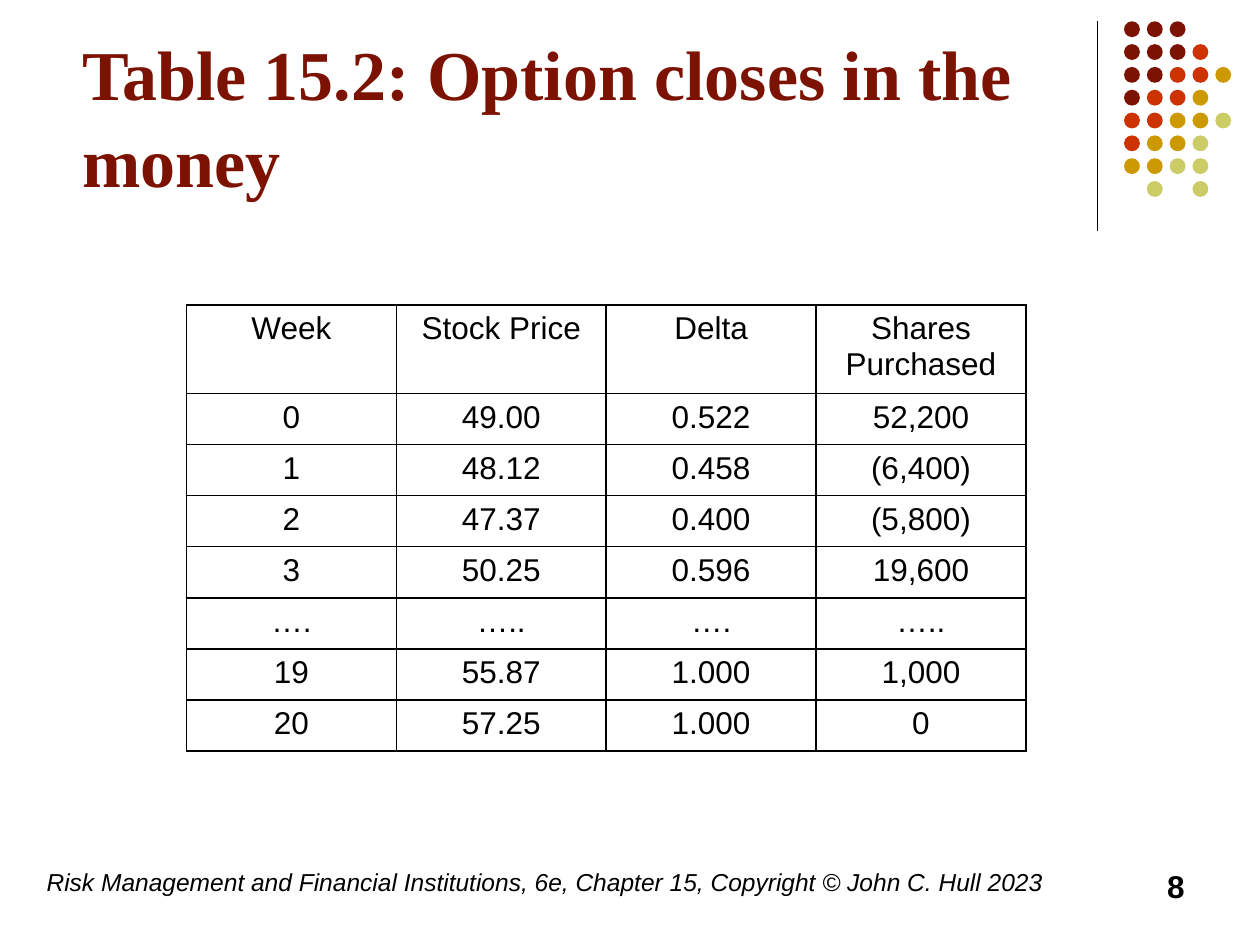
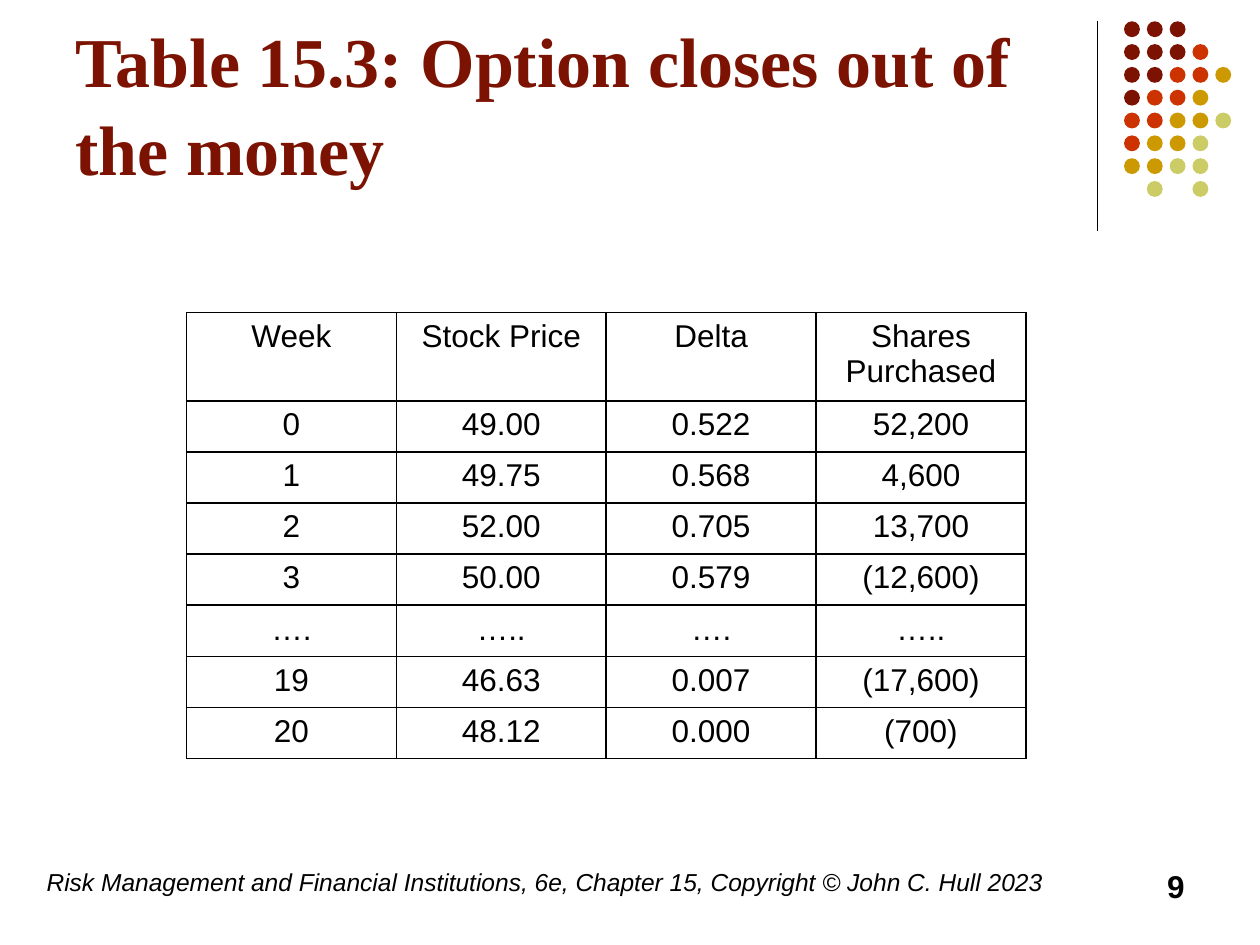
from dataclasses import dataclass

from lxml.etree import SubElement
from pptx import Presentation
from pptx.dml.color import RGBColor as Rgb
from pptx.enum.shapes import MSO_CONNECTOR as Connector, MSO_SHAPE as Shape
from pptx.enum.text import MSO_ANCHOR as Anchor, MSO_AUTO_SIZE as AutoSize, PP_ALIGN as Align
from pptx.oxml.ns import qn
from pptx.util import Cm, Pt


@dataclass(frozen=True)
class Theme:
    ink: Rgb = Rgb.from_string("000000")
    maroon: Rgb = Rgb.from_string("7C1302")
    red: Rgb = Rgb.from_string("CC3300")
    gold: Rgb = Rgb.from_string("CC9900")
    lime: Rgb = Rgb.from_string("CCCC66")
    heading: str = "Times New Roman"
    body: str = "Arial"
    title_size: int = 40
    body_size: int = 18
    footer_size: int = 14
    rule_width: float = 0.75
    border_width: float = 1


THEME = Theme()
TITLE_FONT = {"name": THEME.heading, "size": Pt(THEME.title_size), "bold": True}
CELL_FONT = {"name": THEME.body, "size": Pt(THEME.body_size), "bold": False}
FOOTER_FONT = {"name": THEME.body, "size": Pt(THEME.footer_size), "italic": True}
NUMBER_FONT = {"name": THEME.body, "size": Pt(THEME.body_size), "bold": True}

FOOTER = "Risk Management and Financial Institutions, 6e, Chapter 15, Copyright © John C. Hull 2023"
FOOTER_BOX = (0.69, 17.35, 21, 1.27)
NUMBER_BOX = (18.21, 17.35, 5.92, 1.27)

DOT_COLORS = {"M": THEME.maroon, "R": THEME.red, "G": THEME.gold, "L": THEME.lime}
DOT_ROWS = ["MMM", "MMMR", "MMRRG", "MRRG", "RRGGL", "RGGL", "GGLL", ".L.L"]
DOT_LEFT, DOT_TOP, DOT_PITCH, DOT_SIZE = 22.66, 0.43, 0.46, 0.32

TABLE_LEFT, COLUMN_WIDTH = 3.76, 4.23
HEADER_HEIGHT, ROW_HEIGHT = 1.78, 1.03
HEADER = ("Week", "Stock Price", "Delta", "Shares Purchased")
SKIPPED_WEEKS = ("….", "…..", "….", "…..")

PAGES = [
    {
        "number": 8,
        "title": "Table 15.2: Option closes in the money",
        "title_box": (1.4, 3.76, 20.96, 0.43),
        "table_top": 6.15,
        "rows": [
            ("0", "49.00", "0.522", "52,200"),
            ("1", "48.12", "0.458", "(6,400)"),
            ("2", "47.37", "0.400", "(5,800)"),
            ("3", "50.25", "0.596", "19,600"),
            SKIPPED_WEEKS,
            ("19", "55.87", "1.000", "1,000"),
            ("20", "57.25", "1.000", "0"),
        ],
    },
    {
        "number": 9,
        "title": "Table 15.3: Option closes out of the money",
        "title_box": (1.27, 0.33, 20.96, 3.61),
        "table_top": 6.3,
        "rows": [
            ("0", "49.00", "0.522", "52,200"),
            ("1", "49.75", "0.568", "4,600"),
            ("2", "52.00", "0.705", "13,700"),
            ("3", "50.00", "0.579", "(12,600)"),
            SKIPPED_WEEKS,
            ("19", "46.63", "0.007", "(17,600)"),
            ("20", "48.12", "0.000", "(700)"),
        ],
    },
]


def set_all(target, values):
    for name, value in values.items():
        setattr(target, name, value)


def write(frame, text, font, align, color=THEME.ink):
    para = frame.paragraphs[0]
    para.alignment = align
    span = para.add_run()
    span.text = text
    set_all(span.font, font)
    span.font.color.rgb = color
    return para


def add_title(page, text, bounds):
    title = page.shapes.title
    set_all(title, dict(zip(("left", "top", "width", "height"), map(Cm, bounds))))
    frame = title.text_frame
    set_all(frame, {"word_wrap": True, "auto_size": AutoSize.NONE,
                    "vertical_anchor": Anchor.BOTTOM})
    para = write(frame, text, TITLE_FONT, Align.LEFT, THEME.maroon)
    para.line_spacing = 1.04


def add_text(page, text, bounds, font, align=Align.LEFT):
    box = page.shapes.add_textbox(*map(Cm, bounds))
    box.text_frame.word_wrap = True
    write(box.text_frame, text, font, align)


def add_rule(page):
    x, top, bottom = Cm(22.12), Cm(0.43), Cm(4.65)
    rule = page.shapes.add_connector(Connector.STRAIGHT, x, top, x, bottom)
    rule.line.color.rgb = THEME.ink
    rule.line.width = Pt(THEME.rule_width)
    SubElement(rule.element.spPr, qn("a:effectLst"))


def add_dots(page):
    """Draw the corner ornament; a full stop in DOT_ROWS leaves a gap."""
    group = page.shapes.add_group_shape()
    for row, codes in enumerate(DOT_ROWS):
        for column, code in enumerate(codes):
            if code not in DOT_COLORS:
                continue
            dot = group.shapes.add_shape(
                Shape.OVAL, Cm(DOT_LEFT + column * DOT_PITCH),
                Cm(DOT_TOP + row * DOT_PITCH), Cm(DOT_SIZE), Cm(DOT_SIZE))
            dot.shadow.inherit = False
            dot.fill.solid()
            dot.fill.fore_color.rgb = DOT_COLORS[code]
            dot.line.fill.background()


def add_borders(cell):
    properties = cell._tc.get_or_add_tcPr()
    for side in ("lnL", "lnR", "lnT", "lnB"):
        line = SubElement(properties, qn(f"a:{side}"), w=str(Pt(THEME.border_width)))
        fill = SubElement(line, qn("a:solidFill"))
        SubElement(fill, qn("a:srgbClr"), val=str(THEME.ink))


def add_hedging_table(page, top, rows):
    lines = [HEADER, *rows]
    height = HEADER_HEIGHT + ROW_HEIGHT * len(rows)
    table = page.shapes.add_table(
        len(lines), len(HEADER), Cm(TABLE_LEFT), Cm(top),
        Cm(COLUMN_WIDTH * len(HEADER)), Cm(height)).table
    set_all(table, {"first_row": False, "horz_banding": False})
    for column in table.columns:
        column.width = Cm(COLUMN_WIDTH)
    for index, (row, values) in enumerate(zip(table.rows, lines)):
        row.height = Cm(ROW_HEIGHT if index else HEADER_HEIGHT)
        for cell, value in zip(row.cells, values):
            add_borders(cell)
            cell.fill.background()
            write(cell.text_frame, value, CELL_FONT, Align.CENTER)


def main():
    deck = Presentation()
    deck.slide_width, deck.slide_height = Cm(25.4), Cm(19.05)
    title_only = deck.slide_layouts[5]
    for content in PAGES:
        page = deck.slides.add_slide(title_only)
        add_rule(page)
        add_dots(page)
        add_title(page, content["title"], content["title_box"])
        add_text(page, FOOTER, FOOTER_BOX, FOOTER_FONT)
        add_text(page, str(content["number"]), NUMBER_BOX, NUMBER_FONT, Align.RIGHT)
        add_hedging_table(page, content["table_top"], content["rows"])
    deck.save("out.pptx")


if __name__ == "__main__":
    main()
